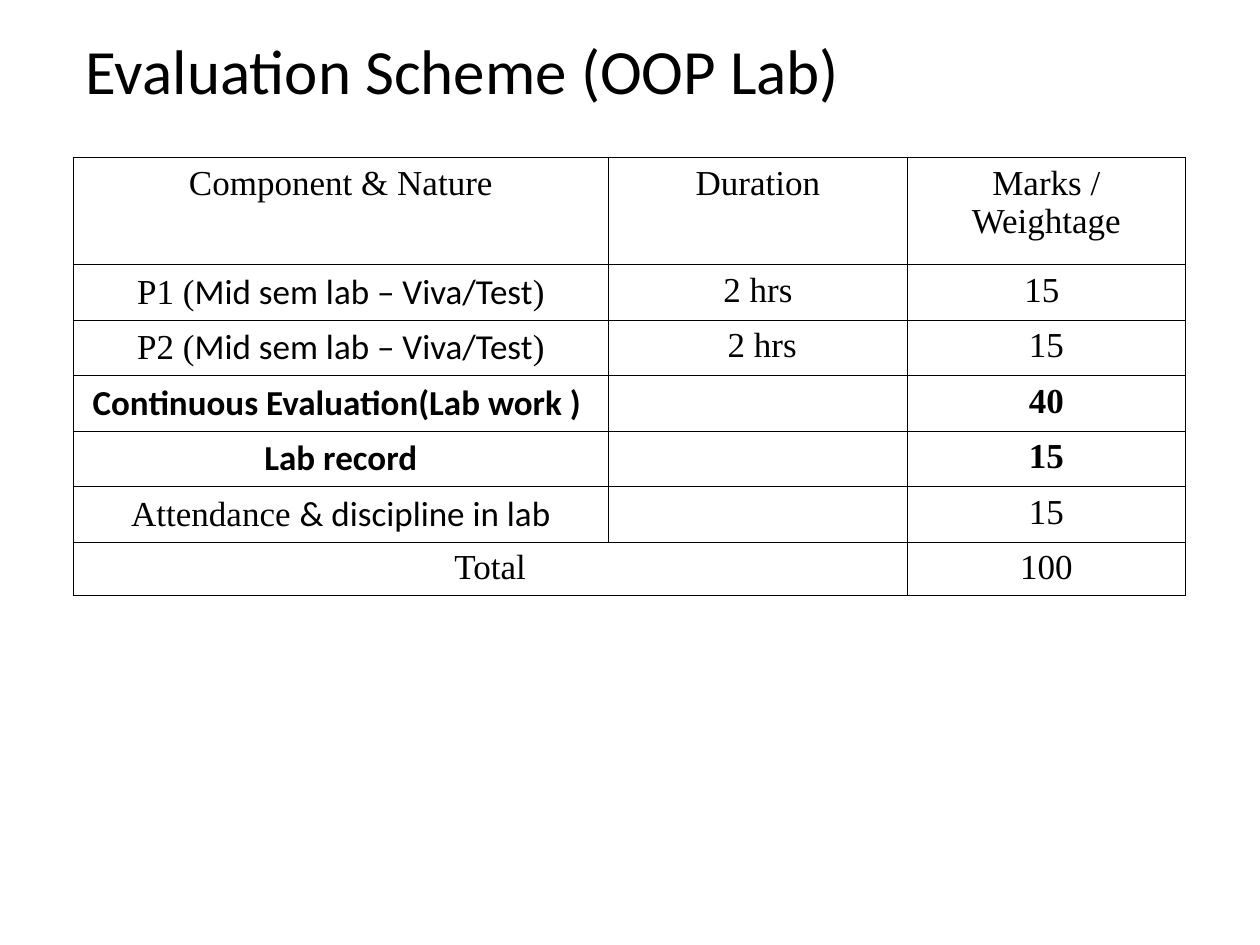
"""Build the evaluation scheme slide with its marks table."""
from lxml.etree import SubElement
from pptx import Presentation
from pptx.dml.color import RGBColor
from pptx.enum.text import MSO_ANCHOR as ANCHOR, MSO_AUTO_SIZE as AUTO, PP_ALIGN as ALIGN
from pptx.oxml.ns import qn
from pptx.util import Inches, Pt

SERIF, SANS, INK = "Times New Roman", "Calibri", "000000"
COLS = [4.25, 2.37, 2.21]
HEIGHTS = [0.85, 0.42, 0.43, 0.43, 0.43, 0.43, 0.42]
BOLD_ROWS = (3, 4)
ROWS = [
    [[("Component & Nature", SERIF)], "Duration", "Marks / Weightage"],
    [[("P1 (", SERIF), ("Mid sem lab – Viva/Test", SANS), (")", SERIF)], "2 hrs", "15 "],
    [[("P2 (", SERIF), ("Mid sem lab – Viva/Test", SANS), (")", SERIF)], " 2 hrs", "15"],
    [[("Continuous Evaluation(Lab work ) ", SANS)], "", "40"],
    [[("Lab record", SANS)], "", "15"],
    [[("Attendance ", SERIF), ("& discipline in lab", SANS)], "", "15"],
    [[("Total", SERIF)], "", "100"],
]


def color(value):
    return RGBColor.from_string(value)


def add_borders(cell):
    tcPr = cell._tc.get_or_add_tcPr()
    for side in ("lnL", "lnR", "lnT", "lnB"):
        ln = SubElement(tcPr, qn(f"a:{side}"), w=str(Pt(0.45)))
        fill = SubElement(ln, qn("a:solidFill"))
        SubElement(fill, qn("a:srgbClr"), val=INK)


prs = Presentation()
prs.slide_width, prs.slide_height = Inches(10), Inches(7.5)
s = prs.slides.add_slide(prs.slide_layouts[5])

sp = s.shapes.title
sp.left, sp.top, sp.width, sp.height = (Inches(v) for v in (0.58, 0.3, 8.92, 1.12))
tf = sp.text_frame
tf.text = "Evaluation Scheme (OOP Lab)"
tf.auto_size = AUTO.NONE
tf.vertical_anchor = ANCHOR.TOP
tf.margin_top = Inches(0.07)
p = tf.paragraphs[0]
p.alignment = ALIGN.LEFT
p.line_spacing = 0.8
p.font.name, p.font.size = SANS, Pt(36)
p.font.color.rgb = color(INK)

table = s.shapes.add_table(len(ROWS), len(COLS), Inches(0.58), Inches(1.25),
                           Inches(sum(COLS)), Inches(sum(HEIGHTS))).table
table.first_row = table.horz_banding = False
for col, width in zip(table.columns, COLS):
    col.width = Inches(width)
for row, height in zip(table.rows, HEIGHTS):
    row.height = Inches(height)

for i, texts in enumerate(ROWS):
    for j, content in enumerate(texts):
        cell = table.cell(i, j)
        add_borders(cell)
        cell.fill.background()
        cell.margin_left = cell.margin_right = Inches(0.08)
        cell.margin_top = cell.margin_bottom = Inches(0.05)
        p = cell.text_frame.paragraphs[0]
        p.alignment = ALIGN.CENTER
        p.font.name, p.font.size = SERIF, Pt(20)
        p.font.bold = i in BOLD_ROWS
        p.font.color.rgb = color(INK)
        if j > 0:
            if content:
                p.add_run().text = content
            continue
        for text, font in content:
            r = p.add_run()
            r.text = text
            r.font.name = font

table.cell(6, 0).merge(table.cell(6, 1))

prs.save("out.pptx")
